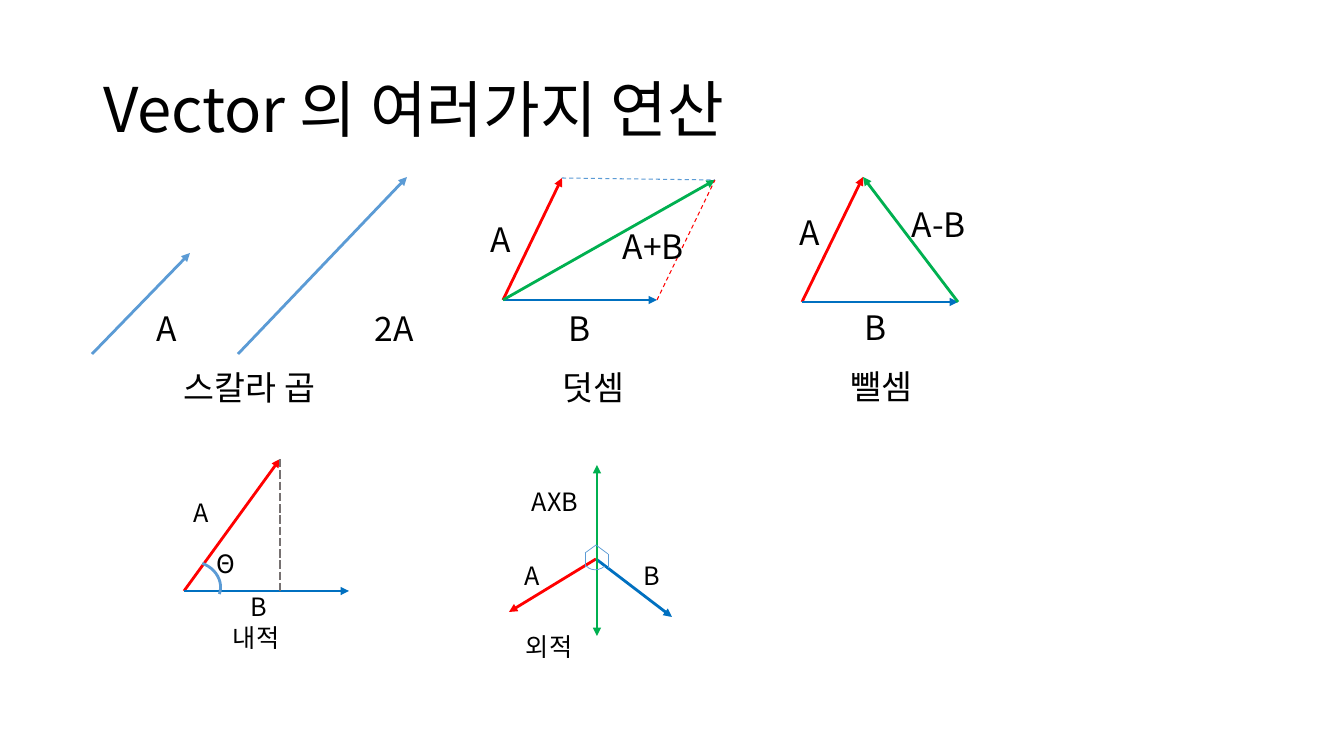
import dataclasses
import pptx
import pptx.dml.color
import pptx.enum.dml
import pptx.enum.shapes
import pptx.enum.text
import pptx.oxml
import pptx.oxml.ns
import pptx.util

PIXEL = 914400 / 100.8


@dataclasses.dataclass(frozen=True)
class Theme:
    """Font, colours, type sizes and line widths of the slide."""
    font: str = "Noto Sans CJK KR"
    ink: str = "000000"
    sky: str = "5B9BD5"
    red: str = "FF0000"
    blue: str = "0070C0"
    green: str = "00B050"
    grey: str = "767171"
    title: int = 44
    large: int = 24
    small: int = 18
    arrow: float = 2
    guide: float = 0.75
    hair: float = 0.5


theme = Theme()
DASH = pptx.enum.dml.MSO_LINE.DASH
SYSTEM_DASH = pptx.enum.dml.MSO_LINE.SQUARE_DOT


def scaled(*pixels):
    """Turn pixel lengths into EMU."""
    return [pptx.util.Emu(round(pixel * PIXEL)) for pixel in pixels]


def set_text(box, text, size):
    """Write one left-aligned paragraph in the theme font."""
    box.text_frame.text = text
    para = box.text_frame.paragraphs[0]
    para.alignment = pptx.enum.text.PP_ALIGN.LEFT
    font = para.runs[0].font
    font.name = theme.font
    font.size = pptx.util.Pt(size)
    font.color.rgb = pptx.dml.color.RGBColor.from_string(theme.ink)
    east_asian = pptx.oxml.parse_xml(
        f'<a:ea {pptx.oxml.ns.nsdecls("a")} typeface="{theme.font}"/>')
    font._element.find(pptx.oxml.ns.qn("a:latin")).addnext(east_asian)


deck = pptx.Presentation()
deck.slide_width, deck.slide_height = scaled(1344, 756)
page = deck.slides.add_slide(deck.slide_layouts[5])

title = page.shapes.title
title.left, title.top, title.width, title.height = scaled(93, 40, 1159, 146)
set_text(title, "Vector 의 여러가지 연산", theme.title)
title.text_frame.vertical_anchor = pptx.enum.text.MSO_ANCHOR.MIDDLE
title.text_frame.paragraphs[0].line_spacing = 0.9

# Corners that several lines share
sum_start, sum_a, sum_b, sum_end = (503, 300), (562, 178), (657, 300), (715, 180)
diff_start, diff_a, diff_b = (802, 302), (863, 177), (958, 302)
cross = (596, 559)
dot_start, dot_a, dot_foot = (184, 591), (280, 459), (280, 591)
cube_top, cube_right, cube_left = (596, 545), (608, 554), (585, 553)

# arrows: start, end, colour
# guides: start, end, colour, width, dash
# arcs: left, top, width, height, rotation, width of line
# labels: text, left, top, width, height
operations = [
    dict(  # scalar multiple
        size=theme.large,
        arrows=[((92, 354), (190, 253), theme.sky),
                ((238, 354), (407, 177), theme.sky)],
        labels=[("A", 147, 303, 42, 50), ("2A", 365, 303, 61, 50),
                ("스칼라 곱", 174, 362, 168, 50)]),
    dict(  # addition
        size=theme.large,
        arrows=[(sum_start, sum_a, theme.red),
                (sum_start, sum_b, theme.blue),
                (sum_start, sum_end, theme.green)],
        guides=[(sum_a, sum_end, theme.sky, theme.guide, DASH),
                (sum_b, sum_end, theme.red, theme.guide, DASH)],
        labels=[("덧셈", 553, 362, 89, 50), ("A", 481, 214, 42, 51),
                ("B", 559, 303, 40, 51), ("A+B", 613, 221, 87, 51)]),
    dict(  # subtraction
        size=theme.large,
        arrows=[(diff_start, diff_a, theme.red),
                (diff_start, diff_b, theme.blue),
                (diff_b, diff_a, theme.green)],
        labels=[("A", 790, 207, 42, 51), ("B", 855, 302, 40, 51),
                ("A-B", 902, 199, 77, 51), ("뺄셈", 841, 361, 89, 51)]),
    dict(  # cross product
        size=theme.small,
        arrows=[(cross, (509, 612), theme.red),
                (cross, (672, 617), theme.blue),
                ((597, 559), (597, 465), theme.green),
                ((597, 559), (597, 636), theme.green)],
        guides=[(start, end, theme.sky, theme.hair, None) for start, end in (
            (cube_top, cube_right), (cube_right, (608, 568)),
            (cube_top, cube_left), (cube_left, (585, 567)))],
        arcs=[(583, 545, 28, 24, 141.2, theme.hair)],
        labels=[("AXB", 522, 481, 68, 38), ("A", 515, 555, 37, 38),
                ("B", 634, 555, 35, 38), ("외적", 516, 626, 72, 38)]),
    dict(  # dot product
        size=theme.small,
        arrows=[(dot_start, dot_a, theme.red),
                (dot_start, (349, 591), theme.blue)],
        guides=[(dot_a, dot_foot, theme.grey, theme.arrow, SYSTEM_DASH)],
        arcs=[(168, 562, 53, 46, 20, theme.arrow)],
        labels=[("Θ", 207, 543, 56, 50), ("A", 184, 492, 52, 50),
                ("B", 241, 586, 49, 50), ("내적", 223, 617, 72, 40)]),
]

for operation in operations:
    group = page.shapes.add_group_shape()
    arrows = [(*arrow, theme.arrow, None, True) for arrow in operation["arrows"]]
    guides = [(*guide, False) for guide in operation.get("guides", [])]

    for start, end, color, width, dash, has_head in arrows + guides:
        line = group.shapes.add_connector(
            pptx.enum.shapes.MSO_CONNECTOR.STRAIGHT, *scaled(*start, *end))
        line.line.color.rgb = pptx.dml.color.RGBColor.from_string(color)
        line.line.width = pptx.util.Pt(width)
        if dash:
            line.line.dash_style = dash
        if has_head:
            line.line._get_or_add_ln().append(pptx.oxml.parse_xml(
                f'<a:tailEnd {pptx.oxml.ns.nsdecls("a")} type="triangle"/>'))
        line._element.spPr.append(pptx.oxml.parse_xml(
            f'<a:effectLst {pptx.oxml.ns.nsdecls("a")}/>'))

    for left, top, width, height, rotation, weight in operation.get("arcs", []):
        arc = group.shapes.add_shape(
            pptx.enum.shapes.MSO_SHAPE.ARC, *scaled(left, top, width, height))
        arc.rotation = rotation
        arc.shadow.inherit = False
        arc.fill.background()
        arc.line.color.rgb = pptx.dml.color.RGBColor.from_string(theme.sky)
        arc.line.width = pptx.util.Pt(weight)

    for text, *place in operation["labels"]:
        label = group.shapes.add_textbox(*scaled(*place))
        label.text_frame.word_wrap = False
        label.text_frame.auto_size = pptx.enum.text.MSO_AUTO_SIZE.SHAPE_TO_FIT_TEXT
        set_text(label, text, operation["size"])

deck.save("out.pptx")
